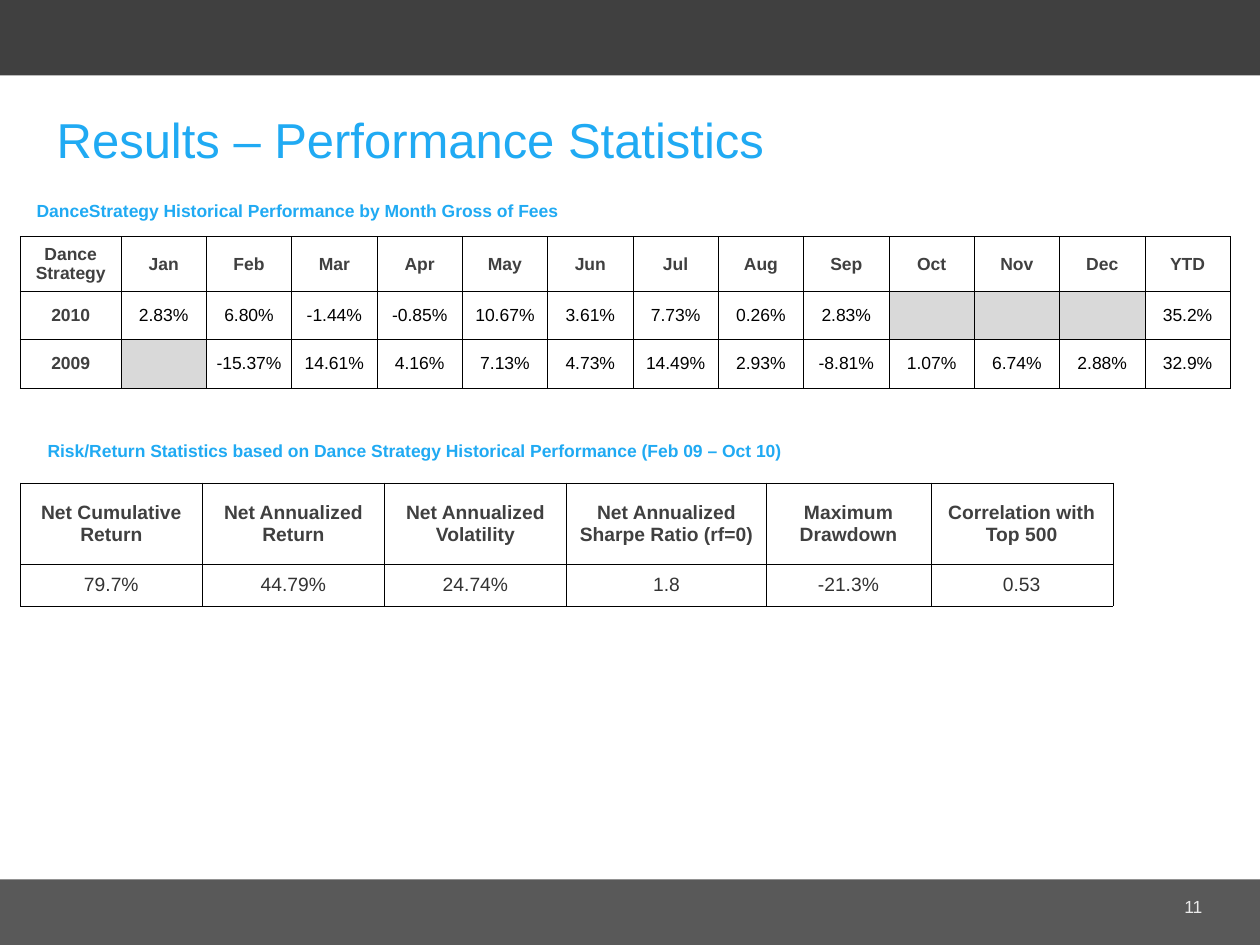
from dataclasses import dataclass

from lxml.etree import SubElement
from pptx import Presentation
from pptx.dml.color import RGBColor
from pptx.enum.shapes import MSO_SHAPE
from pptx.enum.text import MSO_ANCHOR, MSO_AUTO_SIZE, PP_ALIGN
from pptx.oxml.ns import qn
from pptx.slide import Slide
from pptx.text.text import TextFrame
from pptx.util import Cm, Pt

FONT = "Arial"
BLUE = RGBColor(0x20, 0xAA, 0xF3)
DARK_GRAY = RGBColor(0x40, 0x40, 0x40)
FOOTER_GRAY = RGBColor(0x59, 0x59, 0x59)
VALUE_GRAY = RGBColor(0x33, 0x33, 0x33)
EMPTY_GRAY = RGBColor(0xD9, 0xD9, 0xD9)
NUMBER_GRAY = RGBColor(0xEA, 0xEA, 0xEA)
BLACK = RGBColor(0, 0, 0)
WHITE = RGBColor(0xFF, 0xFF, 0xFF)


@dataclass
class Box:
    left: float
    top: float
    width: float
    height: float

    def lengths(self) -> tuple:
        return Cm(self.left), Cm(self.top), Cm(self.width), Cm(self.height)


@dataclass
class TextStyle:
    size: float
    color: RGBColor
    bold: bool = False
    alignment: PP_ALIGN = PP_ALIGN.LEFT


@dataclass
class Label:
    text: str
    box: Box
    style: TextStyle
    anchor: MSO_ANCHOR = MSO_ANCHOR.MIDDLE
    wrap: bool = True


@dataclass
class Grid:
    left: float
    top: float
    column_widths: list[float]
    row_heights: list[float]
    rows: list[list[str]]
    header_style: TextStyle
    value_style: TextStyle
    value_margin: float
    border_width: float
    has_row_headers: bool


def write_text(frame: TextFrame, text: str, style: TextStyle) -> None:
    for index, line in enumerate(text.split("\n")):
        paragraph = frame.paragraphs[0] if index == 0 else frame.add_paragraph()
        paragraph.alignment = style.alignment
        paragraph.space_before = Pt(0)
        run = paragraph.add_run()
        run.text = line
        run.font.name = FONT
        run.font.size = Pt(style.size)
        run.font.bold = style.bold
        run.font.color.rgb = style.color


def add_band(slide: Slide, box: Box, color: RGBColor) -> None:
    shape = slide.shapes.add_shape(MSO_SHAPE.RECTANGLE, *box.lengths())
    shape.shadow.inherit = False
    shape.fill.solid()
    shape.fill.fore_color.rgb = color
    shape.line.fill.background()


def add_label(slide: Slide, label: Label) -> None:
    shape = slide.shapes.add_textbox(*label.box.lengths())
    frame = shape.text_frame
    frame.word_wrap = label.wrap
    frame.vertical_anchor = label.anchor
    write_text(frame, label.text, label.style)


def format_title(slide: Slide, text: str, box: Box) -> None:
    title = slide.shapes.title
    title.left, title.top, title.width, title.height = box.lengths()
    frame = title.text_frame
    frame.auto_size = MSO_AUTO_SIZE.NONE
    frame.vertical_anchor = MSO_ANCHOR.TOP
    write_text(frame, text, TextStyle(28, BLUE))


def set_borders(cell, width: float) -> None:
    properties = cell._tc.get_or_add_tcPr()
    for position, side in enumerate(("lnL", "lnR", "lnT", "lnB")):
        line = SubElement(properties, qn(f"a:{side}"), w=str(Pt(width)))
        fill = SubElement(line, qn("a:solidFill"))
        SubElement(fill, qn("a:srgbClr"), val=str(BLACK))
        properties.remove(line)
        properties.insert(position, line)


def add_grid(slide: Slide, grid: Grid) -> None:
    box = Box(grid.left, grid.top, sum(grid.column_widths), sum(grid.row_heights))
    table = slide.shapes.add_table(
        len(grid.rows), len(grid.column_widths), *box.lengths()
    ).table
    for column, width in zip(table.columns, grid.column_widths):
        column.width = Cm(width)
    for row, height in zip(table.rows, grid.row_heights):
        row.height = Cm(height)
    for row_index, values in enumerate(grid.rows):
        for column_index, text in enumerate(values):
            cell = table.cell(row_index, column_index)
            is_header = row_index == 0 or (grid.has_row_headers and column_index == 0)
            cell.vertical_anchor = MSO_ANCHOR.MIDDLE
            cell.margin_left = cell.margin_right = Cm(
                0.25 if is_header else grid.value_margin
            )
            cell.margin_top = cell.margin_bottom = Cm(0.13 if text else 0)
            cell.fill.solid()
            cell.fill.fore_color.rgb = WHITE if text else EMPTY_GRAY
            if text:
                style = grid.header_style if is_header else grid.value_style
                write_text(cell.text_frame, text, style)
            set_borders(cell, grid.border_width)


MONTHLY_GRID = Grid(
    left=0.41,
    top=4.77,
    column_widths=[2.03] + [1.72] * 13,
    row_heights=[1.11, 0.97, 0.97],
    rows=[
        ["Dance\nStrategy", "Jan", "Feb", "Mar", "Apr", "May", "Jun", "Jul",
         "Aug", "Sep", "Oct", "Nov", "Dec", "YTD"],
        ["2010", "2.83%", "6.80%", "-1.44%", "-0.85%", "10.67%", "3.61%", "7.73%",
         "0.26%", "2.83%", "", "", "", "35.2%"],
        ["2009", "", "-15.37%", "14.61%", "4.16%", "7.13%", "4.73%", "14.49%",
         "2.93%", "-8.81%", "1.07%", "6.74%", "2.88%", "32.9%"],
    ],
    header_style=TextStyle(10, DARK_GRAY, True, PP_ALIGN.CENTER),
    value_style=TextStyle(10, BLACK, False, PP_ALIGN.CENTER),
    value_margin=0.03,
    border_width=0.45,
    has_row_headers=True,
)

RISK_GRID = Grid(
    left=0.41,
    top=9.73,
    column_widths=[3.67, 3.67, 3.67, 4.03, 3.31, 3.67],
    row_heights=[1.65, 0.83],
    rows=[
        ["Net Cumulative Return", "Net Annualized Return",
         "Net Annualized Volatility", "Net Annualized Sharpe Ratio (rf=0)",
         "Maximum Drawdown", "Correlation with Top 500"],
        ["79.7%", "44.79%", "24.74%", "1.8", "-21.3%", "0.53"],
    ],
    header_style=TextStyle(11, DARK_GRAY, True, PP_ALIGN.CENTER),
    value_style=TextStyle(11, VALUE_GRAY, False, PP_ALIGN.CENTER),
    value_margin=0.25,
    border_width=0.06,
    has_row_headers=False,
)

CAPTION_STYLE = TextStyle(10, BLUE, True)
LABELS = [
    Label("11", Box(18.57, 17.93, 5.92, 0.79),
          TextStyle(10, NUMBER_GRAY, False, PP_ALIGN.RIGHT), MSO_ANCHOR.TOP),
    Label("DanceStrategy Historical Performance by Month Gross of Fees",
          Box(0.49, 3.89, 17, 0.69), CAPTION_STYLE),
    Label("Risk/Return Statistics based on Dance Strategy Historical Performance "
          "(Feb 09 – Oct 10)",
          Box(0.71, 8.74, 15.29, 0.69), CAPTION_STYLE, wrap=False),
]


def main() -> None:
    presentation = Presentation()
    presentation.slide_width = Cm(25.4)
    presentation.slide_height = Cm(19.05)
    slide = presentation.slides.add_slide(presentation.slide_layouts[5])
    add_band(slide, Box(0, 0, 25.4, 1.52), DARK_GRAY)
    add_band(slide, Box(0, 17.73, 25.4, 1.32), FOOTER_GRAY)
    format_title(slide, "Results – Performance Statistics", Box(0.89, 2.08, 23.6, 1.88))
    for grid in (MONTHLY_GRID, RISK_GRID):
        add_grid(slide, grid)
    for label in LABELS:
        add_label(slide, label)
    presentation.save("out.pptx")


if __name__ == "__main__":
    main()
